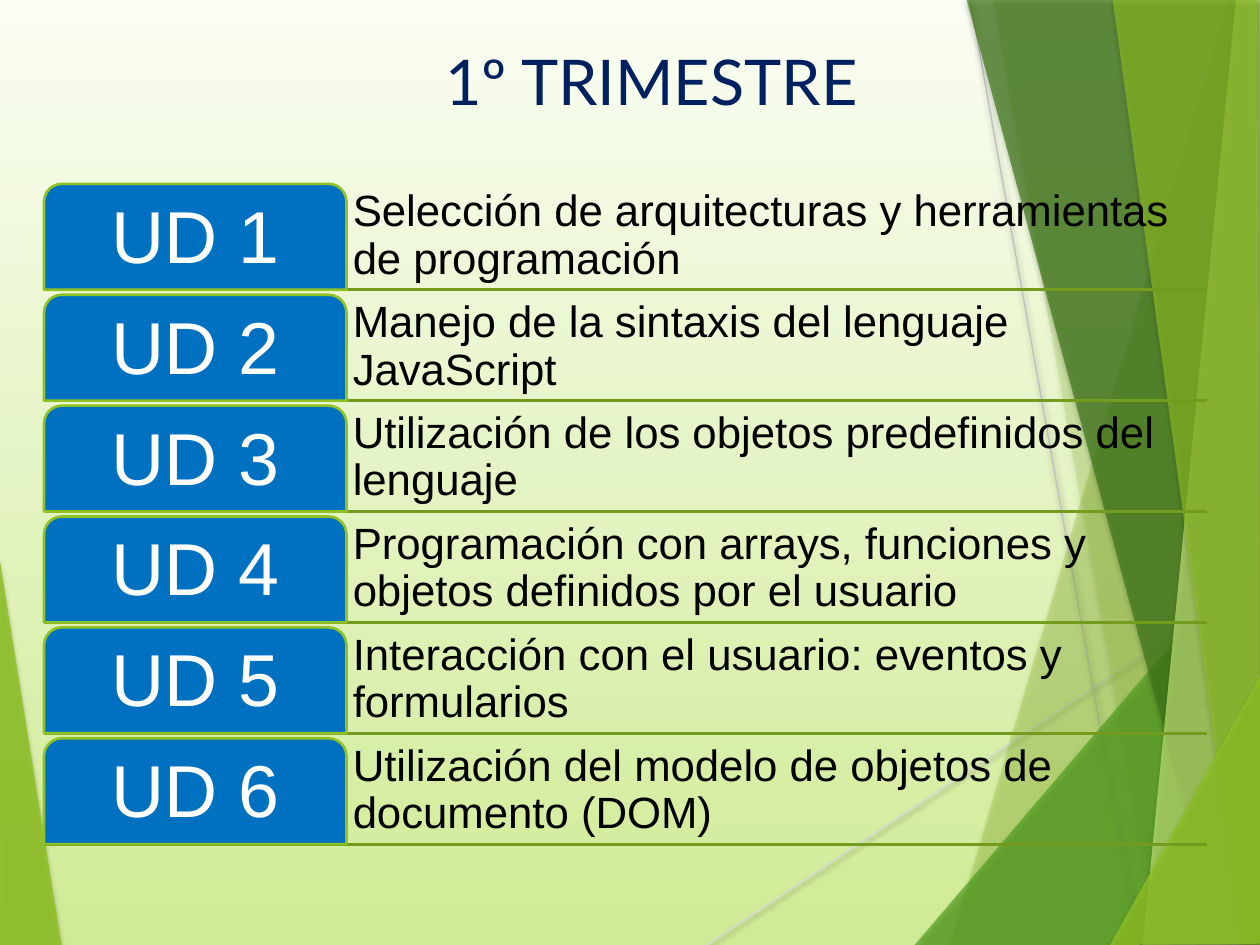
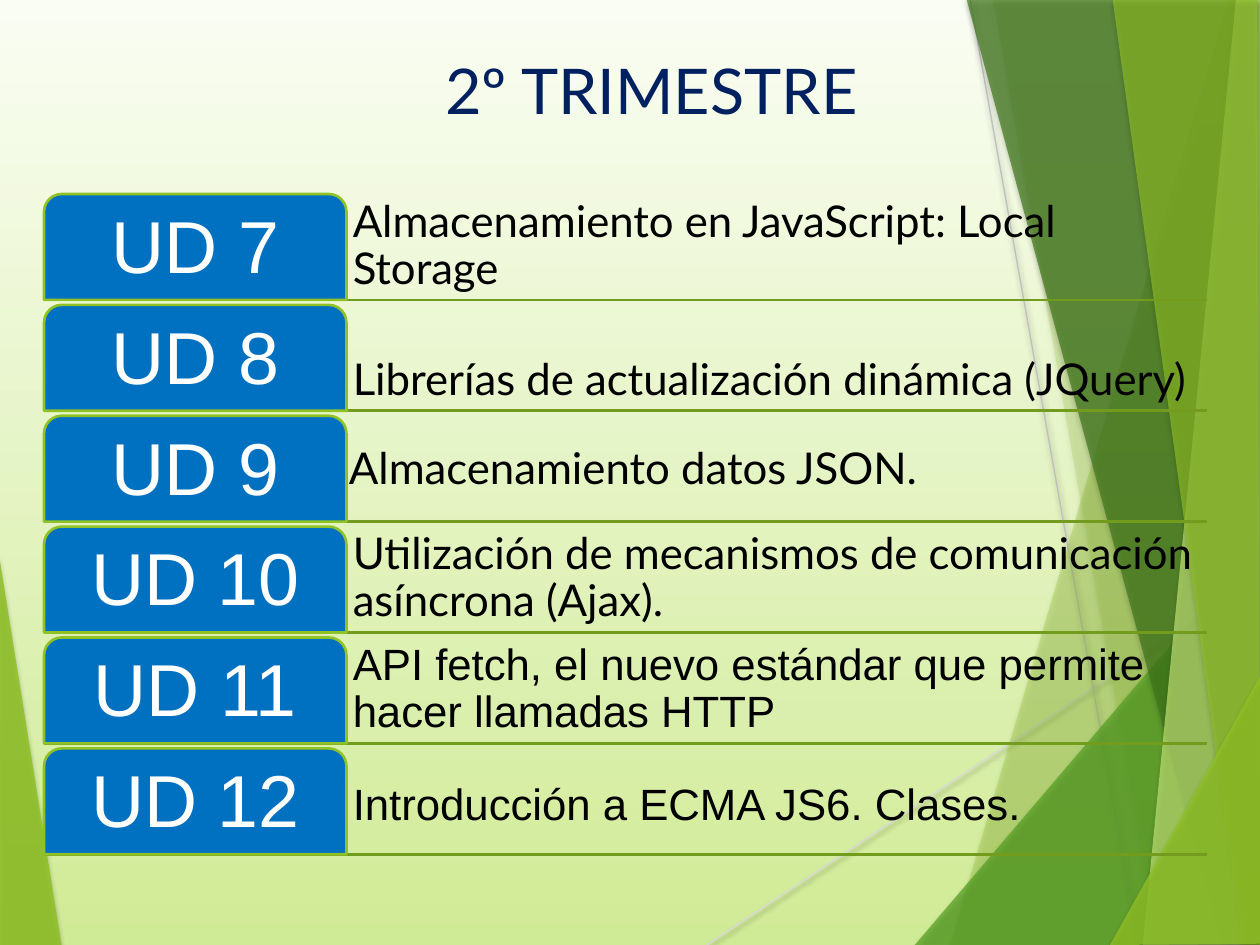
from dataclasses import dataclass

from lxml.etree import SubElement
from pptx import Presentation
from pptx.dml.color import RGBColor
from pptx.enum.shapes import MSO_CONNECTOR, MSO_SHAPE
from pptx.enum.text import MSO_ANCHOR, PP_ALIGN
from pptx.oxml.ns import qn
from pptx.util import Inches, Pt

GREEN, LEAF, FOREST, LIME = "90C226", "54A021", "3F7819", "C0E474"
RULE, BLUE, NAVY, WHITE, BLACK = "739B1E", "0070C0", "002060", "FFFFFF", "000000"
SKY, MEADOW = "FAFDF3", "D0EB96"
HEADING, BODY = "Lato", "Arial"

LEFT, RIGHT = 0.35, 9.58
TAB_WIDTH, ROW_HEIGHT, PITCH = 2.4, 0.84, 0.88


@dataclass(frozen=True)
class Shadow:
    alpha: int
    blur: float
    distance: float


@dataclass(frozen=True)
class Facet:
    color: str
    alpha: int
    points: tuple


@dataclass(frozen=True)
class Ray:
    color: str
    start: tuple
    end: tuple


@dataclass(frozen=True)
class Unit:
    title: str
    font: str = BODY
    shift: float = 0
    lift: float = 0
    height: float = ROW_HEIGHT


@dataclass(frozen=True)
class Term:
    title: str
    title_top: float
    top: float
    first: int
    units: tuple


FACET_SHADOW = Shadow(35, 3, 2)
RAY_SHADOW = Shadow(38, 3.1, 1.6)

LEFT_FACET = Facet(GREEN, 85, ((-0.01, 4.39), (0.49, 7.51), (-0.01, 7.5)))
RAYS = (
    Ray("D9D9D9", (5.61, 7.5), (10.01, 4.57)),
    Ray("BFBFBF", (7.7, 0), (9.04, 7.5)),
)
RIGHT_FACETS = (
    Facet(GREEN, 30, ((9.75, 0), (7.54, 7.5), (10.02, 7.51), (10.01, 0.01))),
    Facet(GREEN, 20, ((7.88, -0.01), (9.19, 7.5), (10.01, 7.5), (10.01, -0.01))),
    Facet(LEAF, 72, ((7.26, 7.5), (10, 4.29), (10.01, 7.5))),
    Facet(FOREST, 70, ((7.67, -0.01), (9.7, 7.5), (10.01, 7.49), (10.01, -0.01))),
    Facet(LIME, 70, ((9.81, -0.01), (9.07, 7.5), (10.01, 7.5), (10, -0.01))),
    Facet(GREEN, 65, ((8.83, -0.01), (9.86, 7.5), (10, 7.5), (9.98, -0.01))),
    Facet(GREEN, 80, ((8.81, 7.5), (10.01, 5.35), (10.01, 7.49))),
)

TERMS = (
    Term("1º TRIMESTRE", 0.29, 1.46, 1, (
        Unit("Selección de arquitecturas y herramientas de programación"),
        Unit("Manejo de la sintaxis del lenguaje JavaScript"),
        Unit("Utilización de los objetos predefinidos del lenguaje"),
        Unit("Programación con arrays, funciones y objetos definidos por el usuario"),
        Unit("Interacción con el usuario: eventos y formularios"),
        Unit("Utilización del modelo de objetos de documento (DOM)"),
    )),
    Term("2º TRIMESTRE", 0.36, 1.54, 7, (
        Unit("Almacenamiento en JavaScript: Local Storage", HEADING),
        Unit("Librerías de actualización dinámica (JQuery)", HEADING),
        Unit("Almacenamiento datos JSON.", HEADING, -0.03, 0.17, 0.54),
        Unit("Utilización de mecanismos de comunicación asíncrona (Ajax).", HEADING),
        Unit("API fetch, el nuevo estándar que permite hacer llamadas HTTP"),
        Unit("Introducción a ECMA JS6. Clases.", lift=0.14),
    )),
)


def rgb(value: str) -> RGBColor:
    return RGBColor.from_string(value)


def set_alpha(color_element, percent: int) -> None:
    SubElement(color_element, qn("a:alpha"), val=str(percent * 1000))


def add_shadow(effects, shadow: Shadow) -> None:
    outer = SubElement(
        effects, qn("a:outerShdw"), blurRad=str(Pt(shadow.blur)),
        dist=str(Pt(shadow.distance)), dir="5400000", rotWithShape="0")
    set_alpha(SubElement(outer, qn("a:srgbClr"), val=BLACK), shadow.alpha)


def add_line(s, start: tuple, end: tuple, color: str, width: float):
    line = s.shapes.add_connector(
        MSO_CONNECTOR.STRAIGHT, *(Inches(v) for v in start + end))
    line.line.color.rgb = rgb(color)
    line.line.width = Pt(width)
    return SubElement(line._element.spPr, qn("a:effectLst"))


def add_facet(s, facet: Facet) -> None:
    points = [(Inches(x), Inches(y)) for x, y in facet.points]
    builder = s.shapes.build_freeform(*points[0])
    builder.add_line_segments(points[1:], close=True)
    sp = builder.convert_to_shape()
    sp.fill.solid()
    sp.fill.fore_color.rgb = rgb(facet.color)
    sp.line.fill.background()
    sp.shadow.inherit = False
    props = sp._element.spPr
    set_alpha(props.find(f"{qn('a:solidFill')}/{qn('a:srgbClr')}"), facet.alpha)
    add_shadow(props.find(qn("a:effectLst")), FACET_SHADOW)


def set_text(sp, text: str, size: float, font: str, color: str,
             align: PP_ALIGN, anchor: MSO_ANCHOR, spacing: float = 1,
             inset: float | None = None) -> None:
    tf = sp.text_frame
    tf.text = text
    tf.word_wrap = True
    tf.vertical_anchor = anchor
    if inset is not None:
        tf.margin_left = tf.margin_right = Inches(inset)
        tf.margin_top = tf.margin_bottom = Inches(inset)
    p = tf.paragraphs[0]
    p.alignment = align
    p.line_spacing = spacing
    r = p.runs[0]
    r.font.size = Pt(size)
    r.font.name = font
    r.font.color.rgb = rgb(color)


def add_box(s, left: float, top: float, width: float, height: float):
    return s.shapes.add_textbox(
        Inches(left), Inches(top), Inches(width), Inches(height))


def add_background(s) -> None:
    fill = s.background.fill
    fill.gradient()
    fill.gradient_angle = 270
    for stop, color, position in zip(fill.gradient_stops, (SKY, MEADOW), (0, 1)):
        stop.color.rgb = rgb(color)
        stop.position = position
    add_facet(s, LEFT_FACET)
    for ray in RAYS:
        add_shadow(add_line(s, ray.start, ray.end, ray.color, 0.75), RAY_SHADOW)
    for facet in RIGHT_FACETS:
        add_facet(s, facet)


def add_unit(s, number: int, unit: Unit, top: float) -> None:
    text_left = LEFT + TAB_WIDTH
    text_top = top + ROW_HEIGHT - unit.lift - unit.height
    box = add_box(s, text_left + unit.shift, text_top, RIGHT - text_left, unit.height)
    set_text(box, unit.title, 25, unit.font, BLACK,
             PP_ALIGN.LEFT, MSO_ANCHOR.BOTTOM, 0.9, 0.05)
    tab = s.shapes.add_shape(
        MSO_SHAPE.ROUND_2_SAME_RECTANGLE, Inches(LEFT), Inches(top),
        Inches(TAB_WIDTH), Inches(ROW_HEIGHT))
    tab.shadow.inherit = False
    tab.fill.solid()
    tab.fill.fore_color.rgb = rgb(BLUE)
    tab.line.color.rgb = rgb(GREEN)
    tab.line.width = Pt(1.5)
    set_text(tab, f"UD {number}", 42, BODY, WHITE,
             PP_ALIGN.CENTER, MSO_ANCHOR.MIDDLE, 0.9, 0.09)


def add_term(prs, term: Term) -> None:
    s = prs.slides.add_slide(prs.slide_layouts[6])
    add_background(s)
    title = add_box(s, 0.91, term.title_top, 8.52, 0.94)
    set_text(title, term.title, 36, HEADING, NAVY, PP_ALIGN.CENTER, MSO_ANCHOR.TOP)
    tops = [term.top + i * PITCH for i in range(len(term.units))]
    for top in reversed(tops):
        y = top + ROW_HEIGHT
        add_line(s, (LEFT, y), (RIGHT, y), RULE, 1.5)
    for number, (unit, top) in enumerate(zip(term.units, tops), term.first):
        add_unit(s, number, unit, top)


prs = Presentation()
prs.slide_width, prs.slide_height = Inches(10), Inches(7.5)
for term in TERMS:
    add_term(prs, term)
prs.save("out.pptx")
